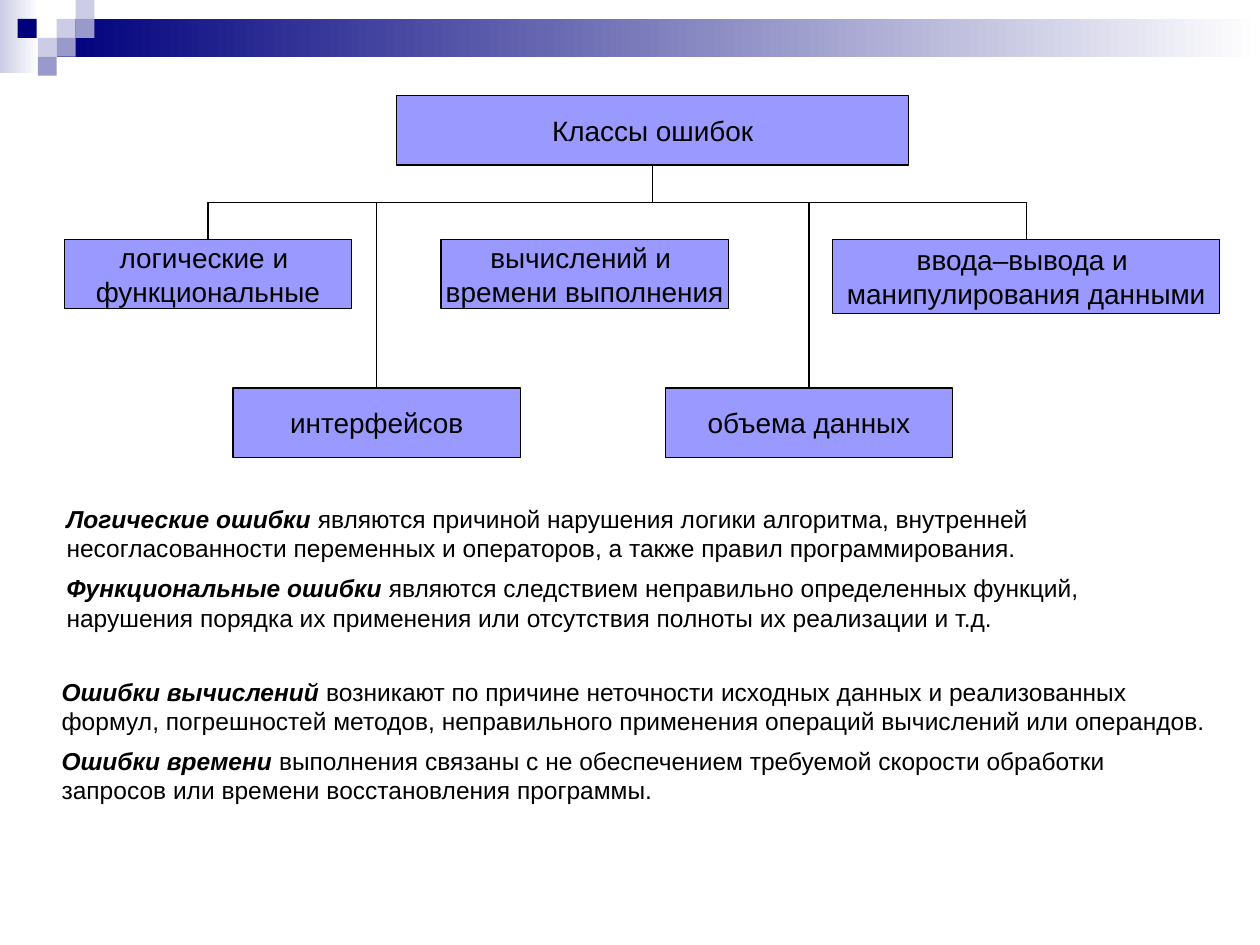
from lxml import etree
from pptx import Presentation
from pptx import util as u
from pptx.dml.color import RGBColor
from pptx.enum import shapes, text
from pptx.oxml.ns import qn

BLACK = RGBColor(0x00, 0x00, 0x00)
WHITE = RGBColor(0xFF, 0xFF, 0xFF)
NAVY = RGBColor(0x00, 0x00, 0x7D)
PALE = RGBColor(0xCC, 0xCC, 0xE6)
MID = RGBColor(0x99, 0x99, 0xCC)
LILAC = RGBColor(0x99, 0x99, 0xFF)

INSET = {"margin_left": u.Inches(0.1), "margin_right": u.Inches(0.1),
         "margin_top": u.Inches(0.05), "margin_bottom": u.Inches(0.05)}
NODE = {**INSET, "word_wrap": False, "vertical_anchor": text.MSO_ANCHOR.MIDDLE}
NOTE = {**INSET, "word_wrap": True, "vertical_anchor": text.MSO_ANCHOR.TOP,
        "auto_size": text.MSO_AUTO_SIZE.SHAPE_TO_FIT_TEXT}
FONT = {"name": "Arial", "bold": False, "italic": False}


def apply(target, values):
    for key, value in values.items():
        setattr(target, key, value)


class Deck:
    """Holds the style and the current slide."""

    def __init__(self, slide):
        self.slide = slide
        self.drop = u.Inches(0.295)  # from the root box down to the shared bar

    def rect(self, box, *colors):
        """Borderless rectangle: one colour is solid, two make a gradient."""
        shape = self.slide.shapes.add_shape(
            shapes.MSO_SHAPE.RECTANGLE, *map(u.Inches, box))
        shape.shadow.inherit = False
        shape.line.fill.background()
        if len(colors) == 1:
            shape.fill.solid()
            shape.fill.fore_color.rgb = colors[0]
        else:
            shape.fill.gradient()
            shape.fill.gradient_angle = 0
            for stop, color in zip(shape.fill.gradient_stops, colors):
                stop.color.rgb = color
        return shape

    def run(self, para, words, size, **extra):
        run = para.add_run()
        run.text = words
        apply(run.font, {**FONT, "size": u.Pt(size), **extra})
        run.font.color.rgb = BLACK

    def paras(self, frame, count):
        return [frame.paragraphs[0]] + [
            frame.add_paragraph() for _ in range(count - 1)]

    def node(self, box, *lines):
        shape = self.rect(box, LILAC)
        shape.line.color.rgb = BLACK
        shape.line.width = u.Pt(0.75)
        frame = shape.text_frame
        apply(frame, NODE)
        for para, line in zip(self.paras(frame, len(lines)), lines):
            para.alignment = text.PP_ALIGN.CENTER
            self.run(para, line, 16)
        return shape

    def link(self, root, child):
        """Elbow from the root's bottom to the child's top, vertical first."""
        x1, y1 = root.left + root.width // 2, root.top + root.height
        x2, y2 = child.left + child.width // 2, child.top
        wide, high = abs(x2 - x1), y2 - y1
        line = self.slide.shapes.add_connector(
            shapes.MSO_CONNECTOR.ELBOW, x1, y1, x2, y2)
        line.begin_connect(root, 2)
        line.end_connect(child, 0)
        line.line.color.rgb = BLACK
        line.line.width = u.Pt(0.75)
        # The elbow runs sideways by default, so its frame is turned
        apply(line, {"left": (x1 + x2 - high) // 2,
                     "top": (y1 + y2 - wide) // 2,
                     "width": high, "height": wide})
        props = line.element.spPr
        frame = props.find(qn("a:xfrm"))
        frame.attrib.clear()
        if x2 < x1:
            frame.set("rot", "5400000")
        else:
            frame.set("rot", "16200000")
            frame.set("flipH", "1")
        guide = etree.SubElement(props.find(qn("a:prstGeom")).find(qn("a:avLst")),
                                 qn("a:gd"))
        guide.set("name", "adj1")
        guide.set("fmla", f"val {round(100000 * self.drop / high)}")
        etree.SubElement(props, qn("a:effectLst"))

    def note(self, box, *items):
        """Text box of paragraphs, each a bold italic term and its meaning."""
        frame = self.slide.shapes.add_textbox(*map(u.Inches, box)).text_frame
        apply(frame, NOTE)
        for para, (term, rest) in zip(self.paras(frame, len(items)), items):
            para.space_after = u.Pt(6)
            self.run(para, term, 14, bold=True, italic=True)
            self.run(para, rest, 14)


def main():
    prs = Presentation()
    prs.slide_width, prs.slide_height = u.Inches(10), u.Inches(7.5)
    deck = Deck(prs.slides.add_slide(prs.slide_layouts[6]))

    # Header band and its small squares
    deck.rect((0, 0, 0.31, 0.58), PALE, WHITE)
    deck.rect((0.45, 0.15, 9.55, 0.3), NAVY, WHITE)
    side = 0.15
    for left, top, color in [
            (0.45, 0.15, PALE), (0.6, 0, PALE), (0.6, 0.15, MID), (0.3, 0.3, PALE),
            (0.14, 0.15, NAVY), (0.45, 0.3, MID), (0.3, 0.45, MID)]:
        deck.rect((left, top, side, side), color)

    # Tree of error classes
    wide, high, upper, lower = 2.28, 0.55, 1.9, 3.08
    root = deck.node((3.15, 0.76, 4.06, high), "Классы ошибок")
    logic = deck.node((0.51, upper, wide, high), "логические и ", "функциональные")
    deck.node((3.5, upper, wide, high), "вычислений и ", "времени выполнения")
    data = deck.node((6.61, upper, 3.07, 0.59),
                     "ввода–вывода и ", "манипулирования данными")
    face = deck.node((1.85, lower, wide, high), "интерфейсов")
    size = deck.node((5.28, lower, wide, high), "объема данных")
    for child in (face, data, logic, size):
        deck.link(root, child)

    # Definitions
    deck.note(
        (0.43, 3.95, 9.1, 1.12),
        ("Логические ошибки",
         " являются причиной нарушения логики алгоритма, внутренней "
         "несогласованности переменных и операторов, а также правил "
         "программирования."),
        ("Функциональные ошибки",
         " являются следствием неправильно определенных функций, нарушения "
         "порядка их применения или отсутствия полноты их реализации и т.д."))
    deck.note(
        (0.39, 5.32, 9.29, 1.35),
        ("Ошибки вычислений",
         " возникают по причине неточности исходных данных и реализованных "
         "формул, погрешностей методов, неправильного применения операций "
         "вычислений или операндов."),
        ("Ошибки времени",
         " выполнения связаны с не обеспечением требуемой скорости обработки "
         "запросов или времени восстановления программы."))

    prs.save("out.pptx")


if __name__ == "__main__":
    main()
